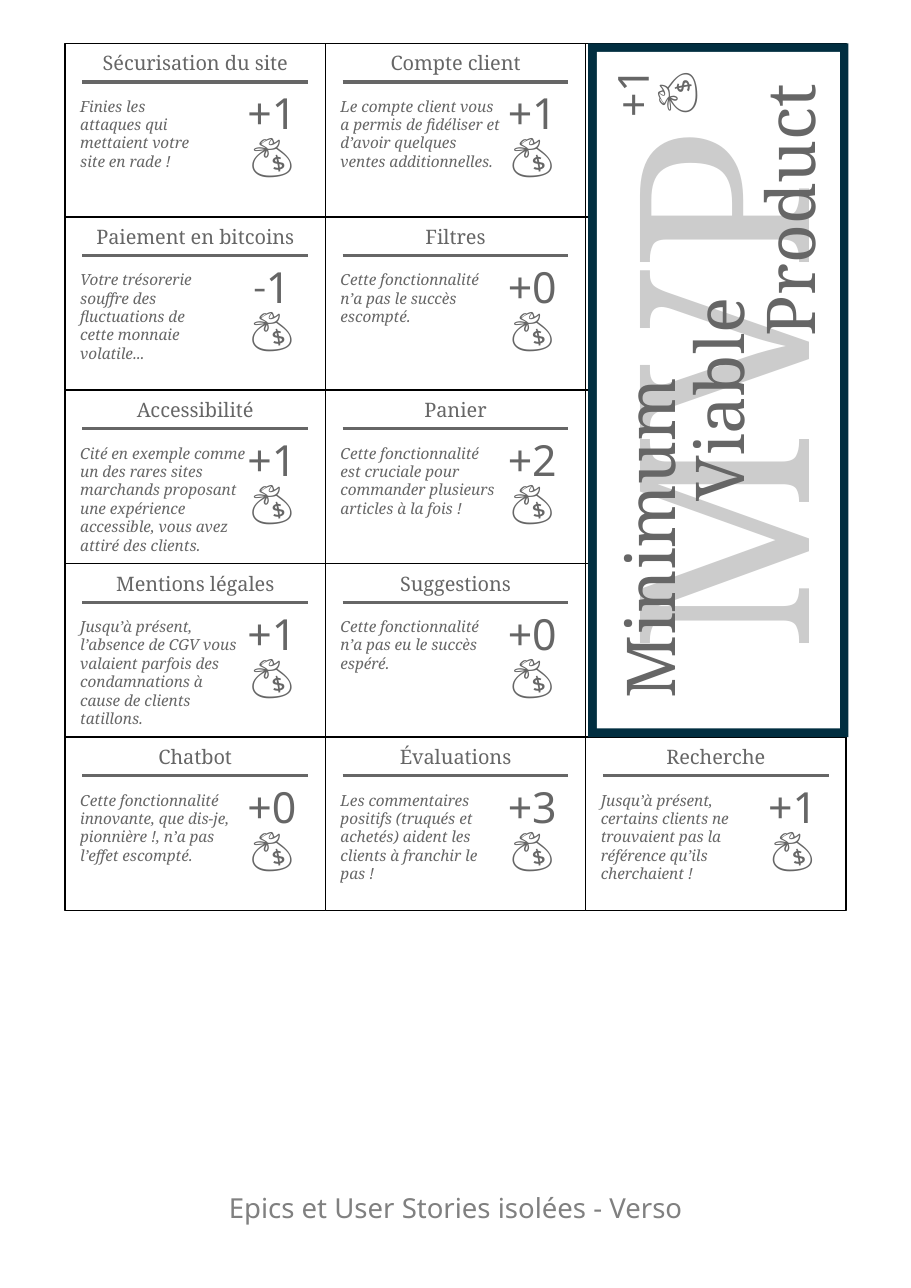
from pptx import Presentation
from pptx import util as u
from pptx.dml.color import RGBColor
from pptx.enum import shapes as sh, text as tx
from lxml import etree

CARD_W, CARD_H, LEFT, TOP = 6, 4, 1.5, 1
GREY = "666666"
SACK = "💰"
SERIF, SANS = "Noto Serif", "Noto Sans"

prs = Presentation()
prs.slide_width, prs.slide_height = u.Cm(21), u.Cm(29.7)
slide = prs.slides.add_slide(prs.slide_layouts[5])


def add_box(x, y, w, h, fill, outline=None):
    box = slide.shapes.add_shape(sh.MSO_SHAPE.RECTANGLE, u.Cm(x), u.Cm(y), u.Cm(w), u.Cm(h))
    box.shadow.inherit = False
    box.fill.solid()
    box.fill.fore_color.rgb = RGBColor.from_string(fill)
    if outline:
        box.line.color.rgb = RGBColor.from_string(outline)
        box.line.width = u.Pt(1)
    else:
        box.line.fill.background()


def add_text(x, y, w, h, wording, size, font=SERIF, color=GREY, centred=True, middle=True):
    label = slide.shapes.add_textbox(u.Cm(x), u.Cm(y), u.Cm(w), u.Cm(h))
    frame = label.text_frame
    frame.word_wrap = True
    frame.vertical_anchor = tx.MSO_ANCHOR.MIDDLE if middle else tx.MSO_ANCHOR.TOP
    paragraph = frame.paragraphs[0]
    paragraph.alignment = tx.PP_ALIGN.CENTER if centred else tx.PP_ALIGN.LEFT
    paragraph.add_run().text = wording
    paragraph.font.size = u.Pt(size)
    paragraph.font.name = font
    paragraph.font.color.rgb = RGBColor.from_string(color)
    return label


# Card grid
for row in range(5):
    for column in range(3):
        add_box(LEFT + column * CARD_W, TOP + row * CARD_H, CARD_W, CARD_H, "FFFFFF", "000000")

# Column, row, title, gain, story, story width
stories = [
    (0, 0, "Sécurisation du site", "+1", "Finies les attaques qui mettaient votre site en rade !", 3.2),
    (0, 1, "Paiement en bitcoins", "˗1",
     "Votre trésorerie souffre des fluctuations de cette monnaie volatile...", 3.2),
    (0, 2, "Accessibilité", "+1",
     "Cité en exemple comme un des rares sites marchands proposant une expérience "
     "accessible, vous avez attiré des clients.", 4.6),
    (0, 3, "Mentions légales", "+1",
     "Jusqu’à présent, l’absence de CGV vous valaient parfois des condamnations "
     "à cause de clients tatillons.", 4.2),
    (0, 4, "Chatbot", "+0",
     "Cette fonctionnalité innovante, que dis-je, pionnière !, n’a pas l’effet escompté.", 4.2),
    (1, 0, "Compte client", "+1",
     "Le compte client vous a permis de fidéliser et d’avoir quelques ventes additionnelles.", 4.2),
    (1, 1, "Filtres", "+0", "Cette fonctionnalité n’a pas le succès escompté.", 4.2),
    (1, 2, "Panier", "+2",
     "Cette fonctionnalité est cruciale pour commander plusieurs articles à la fois !", 4.2),
    (1, 3, "Suggestions", "+0", "Cette fonctionnalité n’a pas eu le succès espéré.", 4.2),
    (1, 4, "Évaluations", "+3",
     "Les commentaires positifs (truqués et achetés) aident les clients à franchir le pas !", 4.2),
    (2, 4, "Recherche", "+1",
     "Jusqu’à présent, certains clients ne trouvaient pas la référence qu’ils cherchaient !", 4.2),
]
gains = []
for column, row, title, gain, story, story_width in stories:
    x, y = LEFT + column * CARD_W, TOP + row * CARD_H
    add_text(x, y + 0.02, CARD_W, 0.86, title, 13)
    rule = slide.shapes.add_connector(sh.MSO_CONNECTOR.STRAIGHT, u.Cm(x + 0.4), u.Cm(y + 0.89),
                                      u.Cm(x + 5.6), u.Cm(y + 0.89))
    rule.line.color.rgb = RGBColor.from_string(GREY)
    rule.line.width = u.Pt(0)
    etree.SubElement(rule.line._ln.getparent(),
                     "{http://schemas.openxmlformats.org/drawingml/2006/main}effectLst")
    gains.append(add_text(x + 3.73, y + 1.11, 2.08, 2.59, gain + " ", 28, SANS, middle=False))
    outcome = add_text(x + 0.1, y + 1.11, story_width, 2.8, story, 10, centred=False, middle=False)
    outcome.text_frame.paragraphs[0].font.italic = True

# MVP card, read from bottom to top
add_box(13.56, 1, 6, 16, "012E40")
add_box(13.76, 1.2, 5.6, 15.6, "FFFFFF")
mvp = add_text(10.08, 5.28, 12.8, 7.44, "MVP", 154.7, color="CCCCCC")
frame = mvp.text_frame
frame.margin_left = frame.margin_right = frame.margin_top = frame.margin_bottom = 0
minimum = add_text(10.54, 11.23, 8.8, 2.36, "Minimum", 44)
viable = add_text(12.14, 8.03, 8.8, 2.36, "Viable", 44)
product = add_text(14.42, 3.66, 7.5, 2.36, "Product", 44)
mvp_gain = add_text(14.33, 0.84, 2.08, 2.59, "+1 ", 28, SANS, middle=False)
gains.append(mvp_gain)
for label in (mvp, minimum, viable, product, mvp_gain):
    label.rotation = 270

# Money sack under each gain
for gain in gains:
    paragraph = gain.text_frame.paragraphs[0]
    paragraph.line_spacing = 0.8
    sack = paragraph.add_run()
    sack.text = SACK
    sack.font.bold = True

# Sheet title at the foot
sheet_title = slide.shapes.title
sheet_title.left, sheet_title.top = u.Cm(1), u.Cm(27)
sheet_title.width, sheet_title.height = u.Cm(19), u.Cm(1.7)
sheet_title.text_frame.text = "Epics et User Stories isolées - Verso"
sheet_title.text_frame.vertical_anchor = tx.MSO_ANCHOR.MIDDLE
paragraph = sheet_title.text_frame.paragraphs[0]
paragraph.alignment = tx.PP_ALIGN.CENTER
paragraph.font.size = u.Pt(18)
paragraph.font.name = SANS
paragraph.font.color.rgb = RGBColor.from_string("808080")

prs.save("out.pptx")
